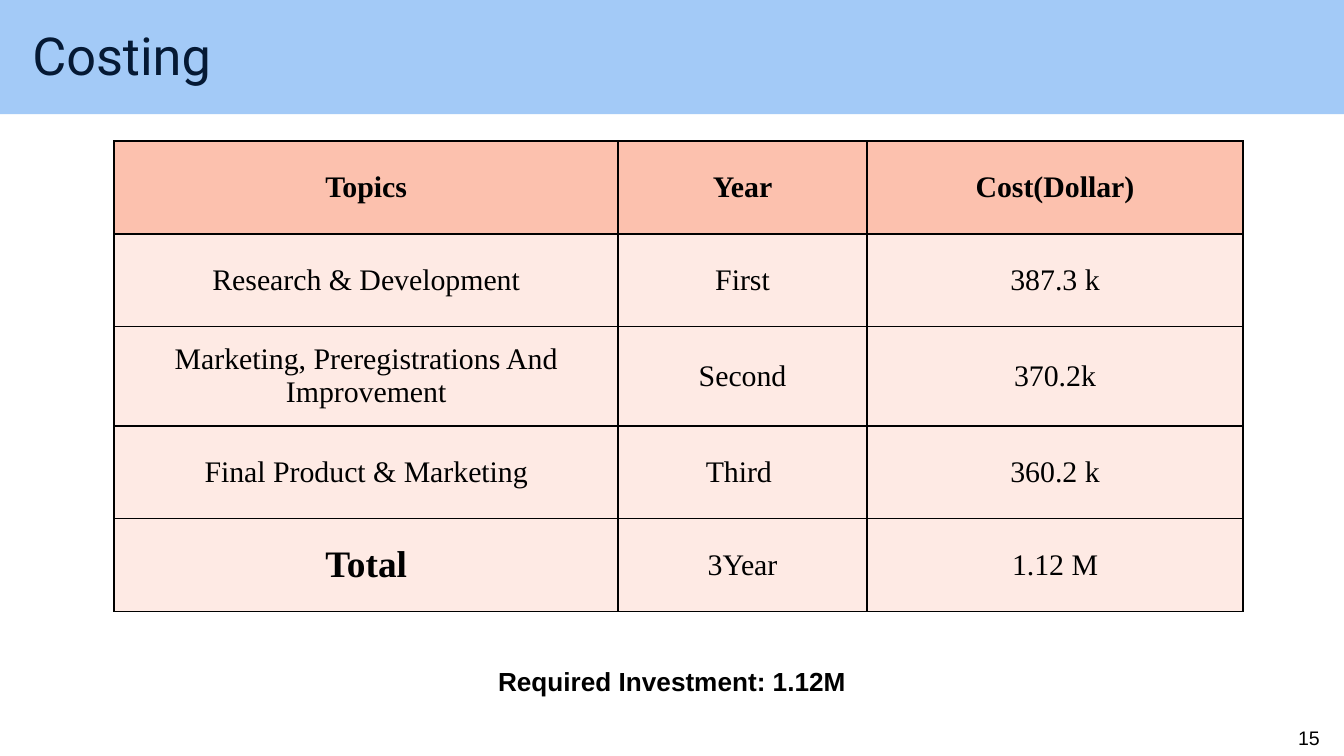
from dataclasses import dataclass
from lxml.etree import SubElement
from pptx import Presentation
from pptx.dml.color import RGBColor as RGB
from pptx.enum.shapes import MSO_SHAPE as Shape
from pptx.enum.text import MSO_ANCHOR as Anchor, PP_ALIGN as Align
from pptx.oxml.ns import qn
from pptx.util import Inches, Pt


@dataclass(frozen=True)
class Theme:
    band: str = "A3CAF7"
    title: str = "051934"
    head: str = "FCC1AE"
    body: str = "FEEAE4"
    ink: str = "000000"
    big: float = 28
    total: float = 20
    cell: float = 16
    note: float = 14
    page: float = 10.5
    sans: str = "Arial"
    serif: str = "Times New Roman"
    display: str = "Roboto"


THEME = Theme()
COLS = [3.75, 1.85, 2.8]
ROWS = [0.69, 0.69, 0.74, 0.69, 0.69]
COSTS = [
    ["Topics", "Year", "Cost(Dollar)"],
    ["Research & Development", "First", "387.3 k"],
    ["Marketing, Preregistrations And Improvement", "Second", "370.2k"],
    ["Final Product & Marketing", "Third ", "360.2 k"],
    ["Total", "3Year", "1.12 M"],
]


def paint(item, color):
    item.fill.solid()
    item.fill.fore_color.rgb = RGB.from_string(color)


def write(frame, text, font, size, color=THEME.ink, bold=False, align=Align.CENTER):
    frame.text = text
    para = frame.paragraphs[0]
    para.alignment = align
    para.font.name = font
    para.font.size = Pt(size)
    para.font.bold = bold
    para.font.color.rgb = RGB.from_string(color)


def add_title(slide, text):
    title = slide.shapes.title
    title.left, title.top = Inches(0.14), Inches(0.07)
    title.width, title.height = Inches(7.73), Inches(0.63)
    frame = title.text_frame
    frame.margin_left = frame.margin_right = Inches(0.1)
    frame.margin_top = frame.margin_bottom = Inches(0.1)
    frame.vertical_anchor = Anchor.TOP
    write(frame, text, THEME.display, THEME.big, THEME.title, align=Align.LEFT)


def add_band(slide):
    band = slide.shapes.add_shape(Shape.RECTANGLE, 0, 0, Inches(10), Inches(0.85))
    band.shadow.inherit = False
    band.line.fill.background()
    paint(band, THEME.band)
    slide.shapes.title.element.addprevious(band.element)


def add_rules(cell):
    props = cell._tc.get_or_add_tcPr()
    for index, side in enumerate(("lnL", "lnR", "lnT", "lnB")):
        line = props.makeelement(qn(f"a:{side}"), {"w": str(Pt(1))})
        fill = SubElement(line, qn("a:solidFill"))
        SubElement(fill, qn("a:srgbClr"), val=THEME.ink)
        props.insert(index, line)


def add_costs(slide):
    frame = slide.shapes.add_table(
        len(ROWS), len(COLS), Inches(0.85), Inches(1.05),
        Inches(sum(COLS)), Inches(sum(ROWS)))
    table = frame.table
    for col, width in zip(table.columns, COLS):
        col.width = Inches(width)
    for row, height, texts in zip(table.rows, ROWS, COSTS):
        row.height = Inches(height)
        head = texts is COSTS[0]
        for cell, text in zip(row.cells, texts):
            total = text == "Total"
            size = THEME.total if total else THEME.cell
            write(cell.text_frame, text, THEME.serif, size, bold=head or total)
            cell.vertical_anchor = Anchor.MIDDLE
            paint(cell, THEME.head if head else THEME.body)
            add_rules(cell)


def add_note(slide, text, box, size, bold=False):
    note = slide.shapes.add_textbox(*map(Inches, box))
    note.text_frame.word_wrap = True
    write(note.text_frame, text, THEME.sans, size, bold=bold)


def main():
    deck = Presentation()
    deck.slide_width = Inches(10)
    deck.slide_height = deck.slide_width * 9 // 16
    slide = deck.slides.add_slide(deck.slide_layouts[5])
    add_title(slide, "Costing")
    add_band(slide)
    add_costs(slide)
    add_note(slide, "Required Investment: 1.12M", (1.79, 4.9, 6.42, 0.34), THEME.note, True)
    add_note(slide, "15", (9.49, 5.35, 0.5, 0.28), THEME.page)
    deck.save("out.pptx")


if __name__ == "__main__":
    main()
